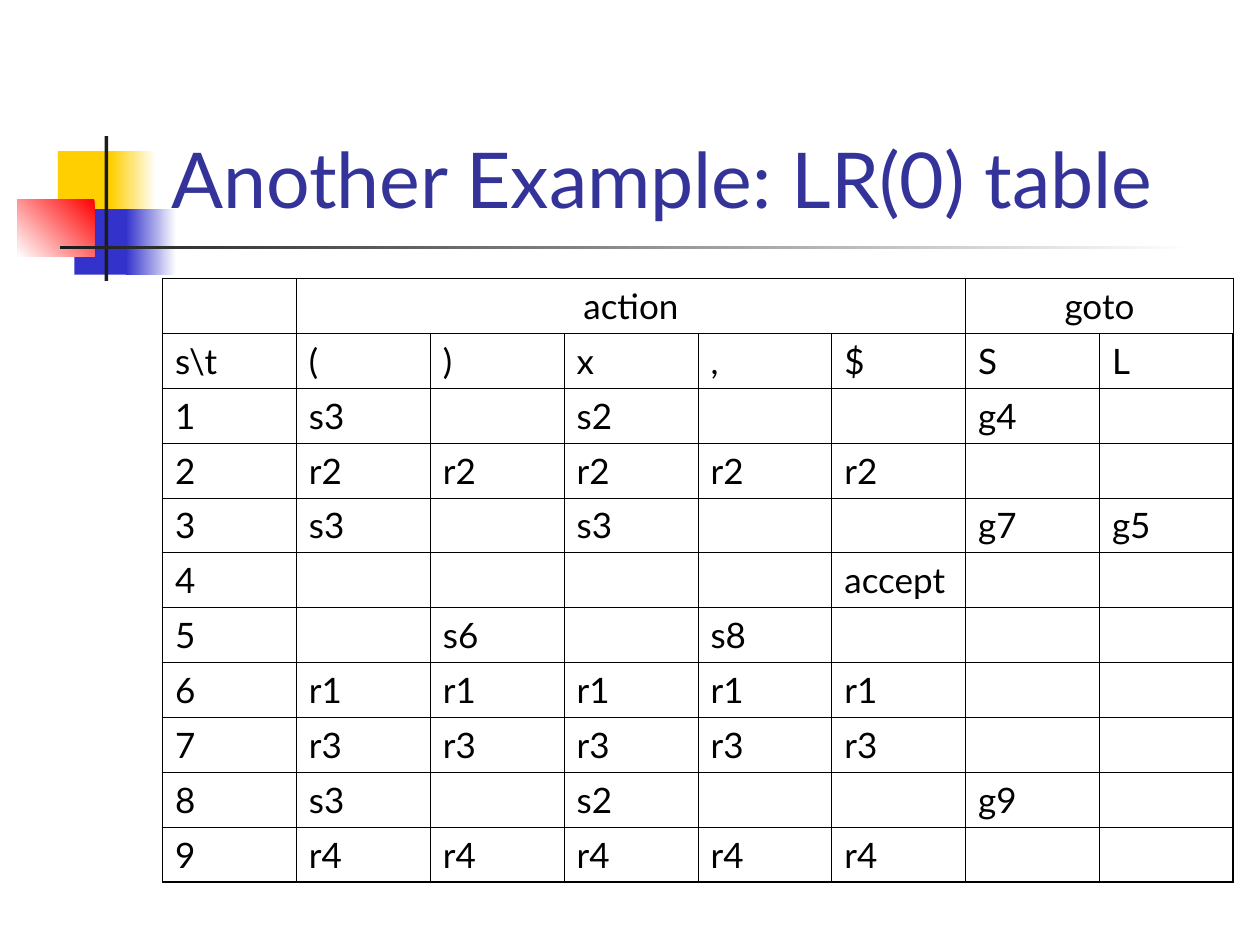
from lxml.etree import SubElement
from pptx import Presentation
from pptx.dml.color import RGBColor
from pptx.enum.shapes import MSO_SHAPE
from pptx.enum.text import MSO_ANCHOR, PP_ALIGN
from pptx.oxml.ns import qn
from pptx.util import Inches, Pt

DECORATIONS = [
    ((0.46, 1.2, 0.48, 0.52), ["FFCF01"], 0),
    ((0.88, 1.2, 0.36, 0.52), ["FFFFFF", "FFCF01"], 180),
    ((0.59, 1.66, 0.46, 0.52), ["3333CC"], 0),
    ((1, 1.66, 0.4, 0.52), ["FFFFFF", "3333CC"], 180),
    ((0.14, 1.58, 0.61, 0.46), ["FF0000", "FFFFFF"], 225),
    ((0.83, 1.08, 0.03, 1.15), ["1C1C1C"], 0),
    ((0.48, 1.95, 9, 0.03), ["FFFFFF", "1C1C1C"], 180),
]

PARSE_TABLE = [
    ["", "action", "", "", "", "", "goto", ""],
    ["s\\t", "(", ")", "x", ",", "$", "S", "L"],
    ["1", "s3", "", "s2", "", "", "g4", ""],
    ["2"] + ["r2"] * 5 + ["", ""],
    ["3", "s3", "", "s3", "", "", "g7", "g5"],
    ["4", "", "", "", "", "accept", "", ""],
    ["5", "", "s6", "", "s8", "", "", ""],
    ["6"] + ["r1"] * 5 + ["", ""],
    ["7"] + ["r3"] * 5 + ["", ""],
    ["8", "s3", "", "s2", "", "", "g9", ""],
    ["9"] + ["r4"] * 5 + ["", ""],
]
HEADER_SPANS = [(1, 5), (6, 7)]


def color(value):
    return RGBColor.from_string(value)


class SlideBuilder:
    """Holds the text style and the current slide, and adds elements to it."""

    font_name = "Lato"
    thin, thick = Pt(0.45), Pt(1.08)

    def __init__(self, slide):
        self.slide = slide

    def style(self, paragraph, size, text_color):
        paragraph.font.name = self.font_name
        paragraph.font.size = Pt(size)
        paragraph.font.color.rgb = color(text_color)

    def rectangle(self, box, colors, angle):
        shape = self.slide.shapes.add_shape(MSO_SHAPE.RECTANGLE, *map(Inches, box))
        shape.shadow.inherit = False
        shape.line.fill.background()
        if len(colors) == 1:
            shape.fill.solid()
            shape.fill.fore_color.rgb = color(colors[0])
            return
        shape.fill.gradient()
        shape.fill.gradient_angle = angle
        for position, (stop, value) in enumerate(zip(shape.fill.gradient_stops, colors)):
            stop.position = position
            stop.color.rgb = color(value)

    def title(self, box, text):
        frame = self.slide.shapes.add_textbox(*map(Inches, box)).text_frame
        frame.word_wrap = True
        frame.vertical_anchor = MSO_ANCHOR.BOTTOM
        frame.text = text
        self.style(frame.paragraphs[0], 44, "333399")

    def border(self, cell, side, width):
        properties = cell._tc.get_or_add_tcPr()
        line = SubElement(properties, qn(f"a:ln{side}"), w=str(width))
        fill = SubElement(line, qn("a:solidFill"))
        SubElement(fill, qn("a:srgbClr"), val="000000")

    def table(self, box, rows, header_spans):
        last_row, last_column = len(rows) - 1, len(rows[0]) - 1
        frame = self.slide.shapes.add_table(len(rows), len(rows[0]), *map(Inches, box))
        table = frame.table
        table.first_row = table.horz_banding = False
        for r, row in enumerate(rows):
            for c, text in enumerate(row):
                cell = table.cell(r, c)
                edges = {"L": c == 0, "R": c == last_column, "T": r == 0, "B": r == last_row}
                for side, outer in edges.items():
                    self.border(cell, side, self.thick if outer else self.thin)
                cell.fill.background()
                cell.text = text
                paragraph = cell.text_frame.paragraphs[0]
                paragraph.space_before = Pt(5)
                self.style(paragraph, 20, "000000")
        for first, last in header_spans:
            cell = table.cell(0, first)
            cell.merge(table.cell(0, last))
            cell.text_frame.paragraphs[0].alignment = PP_ALIGN.CENTER


def main():
    presentation = Presentation()
    presentation.slide_width, presentation.slide_height = Inches(10), Inches(7.5)
    builder = SlideBuilder(presentation.slides.add_slide(presentation.slide_layouts[6]))
    for box, colors, angle in DECORATIONS:
        builder.rectangle(box, colors, angle)
    builder.title((1.26, 0.23, 8.52, 1.6), "Another Example: LR(0) table")
    builder.table((1.29, 2.21, 8.5, 4.79), PARSE_TABLE, HEADER_SPANS)
    presentation.save("out.pptx")


if __name__ == "__main__":
    main()
